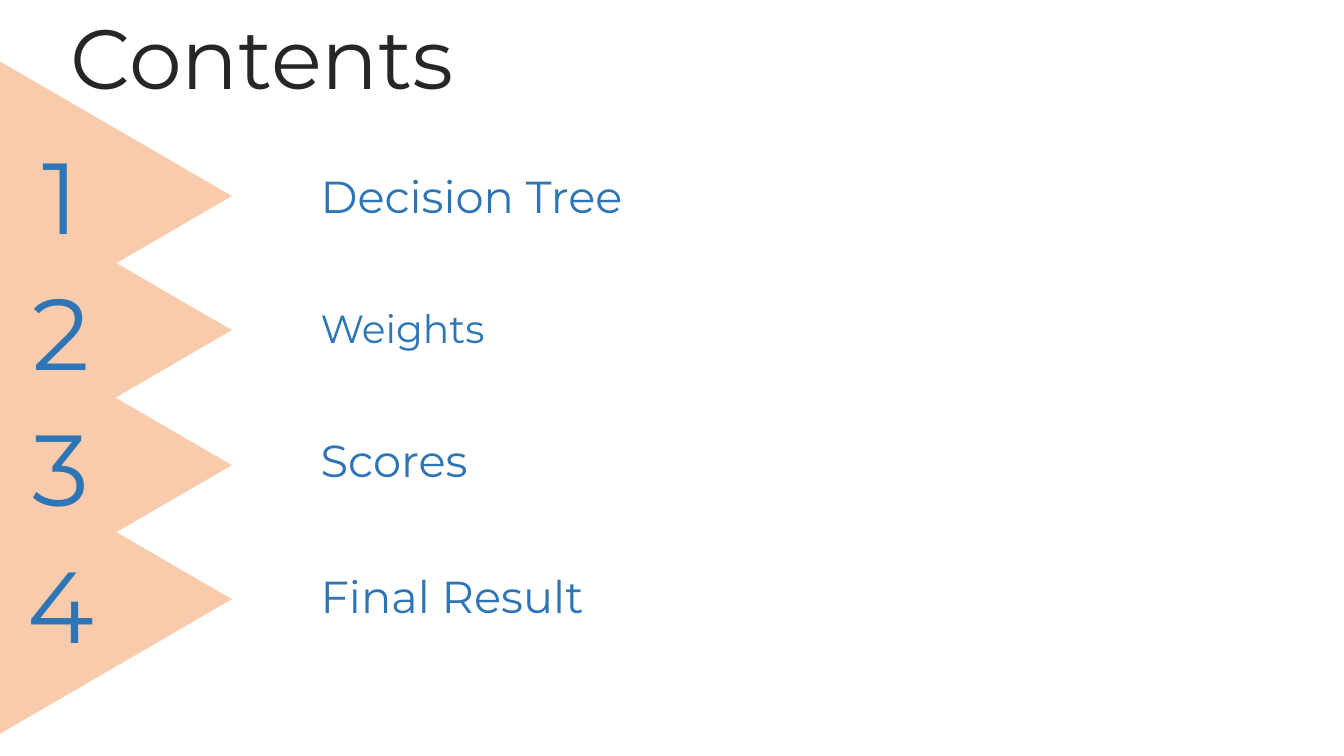
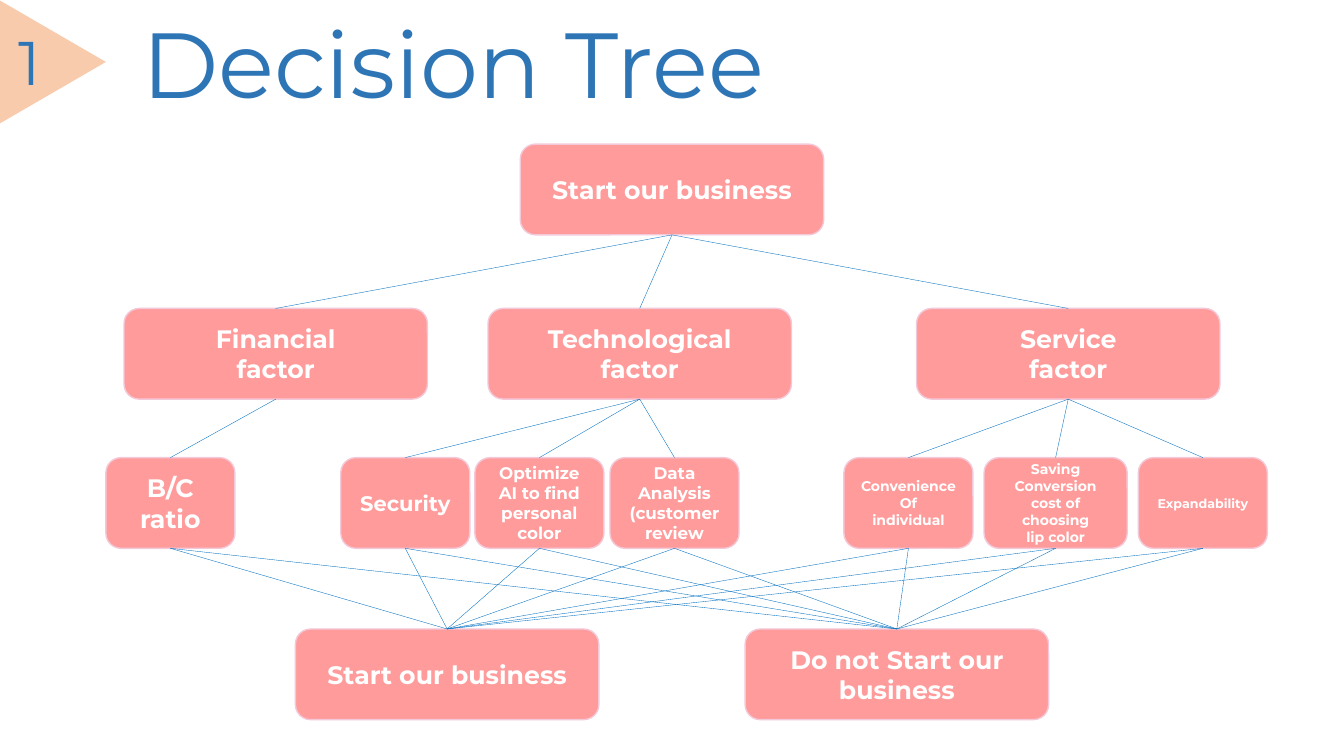
from dataclasses import dataclass
from itertools import product

from lxml.etree import SubElement
from pptx import Presentation
from pptx.dml.color import RGBColor
from pptx.enum.shapes import MSO_CONNECTOR, MSO_SHAPE
from pptx.enum.text import MSO_ANCHOR, MSO_AUTO_SIZE, PP_ALIGN
from pptx.oxml.ns import qn
from pptx.util import Pt

EMU_PER_PX = 9144
FONT = "Montserrat"
COLORS = {
    "marker": "F8CBAD",
    "heading": "262626",
    "accent": "2E75B6",
    "node": "FF9B9B",
    "node_line": "F3C9D9",
    "node_text": "FFFFFF",
    "link": "0070C0",
}
TITLE_AND_CONTENT, TITLE_ONLY = 1, 5
BOTTOM, TOP = 2, 0
NODE_HEIGHT, WIDE, NARROW = 90, 301, 128


@dataclass
class Box:
    """A rectangle in px."""

    left: int
    top: int
    width: int
    height: int

    def emu(self):
        """Return the four lengths in EMU."""
        return [px(value) for value in (self.left, self.top, self.width, self.height)]

    def inner(self, left, top, width, height):
        """Return a box whose place is relative to this one."""
        return Box(self.left + left, self.top + top, width, height)


@dataclass
class Node:
    """A tree node: left offset, width, text lines, text size and children."""

    left: int
    width: int
    lines: tuple
    size: int = 18
    children: tuple = ()


CONTENTS = (("Decision Tree", 32), ("Weights", 28), ("Scores", 32), ("Final Result", 32))
FACTORS = (
    Node(18, WIDE, ("Financial", "factor"), children=(
        Node(0, NARROW, ("B/C ratio",)),
    )),
    Node(379, WIDE, ("Technological", "factor"), children=(
        Node(233, NARROW, ("Security",), 15),
        Node(366, NARROW, ("Optimize", "AI to find", "personal", "color"), 12),
        Node(500, NARROW, ("Data", "Analysis", "(customer review"), 12),
    )),
    Node(804, WIDE, ("Service", "factor"), children=(
        Node(732, NARROW, ("Convenience", "Of", "individual"), 10),
        Node(871, 142, ("Saving", "Conversion", "cost of", "choosing", "lip color"), 10),
        Node(1024, NARROW, ("Expandability",), 9),
    )),
)
GOAL = Node(411, WIDE, ("Start our business",), children=FACTORS)
OUTCOMES = (
    Node(188, WIDE, ("Start our business",)),
    Node(634, WIDE, ("Do not Start our business",)),
)
GOAL_TOP, FACTOR_TOP, CRITERION_TOP, OUTCOME_TOP = 0, 163, 311, 481


def px(value):
    """Turn px into EMU."""
    return round(value * EMU_PER_PX)


def color(name):
    """Return a palette colour."""
    return RGBColor.from_string(COLORS[name])


def write(paragraph, text, size, color_name, bold=False, alignment=PP_ALIGN.LEFT):
    """Add one formatted run to a paragraph."""
    paragraph.alignment = alignment
    run = paragraph.add_run()
    run.text = text
    run.font.name = FONT
    run.font.size = Pt(size)
    run.font.bold = bold
    run.font.color.rgb = color(color_name)


def place(shape, box, anchor=MSO_ANCHOR.TOP):
    """Move a text shape to a box and return its text frame."""
    shape.left, shape.top, shape.width, shape.height = box.emu()
    frame = shape.text_frame
    frame.word_wrap = True
    frame.auto_size = MSO_AUTO_SIZE.NONE
    frame.vertical_anchor = anchor
    return frame


def add_shape(slide, kind, box, fill_name):
    """Add a flat filled shape."""
    shape = slide.shapes.add_shape(kind, *box.emu())
    shape.shadow.inherit = False
    shape.fill.solid()
    shape.fill.fore_color.rgb = color(fill_name)
    shape.line.fill.background()
    return shape


def add_title(slide, box, text, size, color_name):
    """Fill the title placeholder."""
    frame = place(slide.shapes.title, box)
    write(frame.paragraphs[0], text, size, color_name)


def add_marker(slide, box):
    """Add a triangle that points right and fills the box."""
    shift = (box.width - box.height) / 2
    upright = Box(box.left + shift, box.top - shift, box.height, box.width)
    add_shape(slide, MSO_SHAPE.ISOSCELES_TRIANGLE, upright, "marker").rotation = 90


def add_number(slide, box, number, size):
    """Add a section number centred in the box."""
    frame = place(slide.shapes.add_textbox(*box.emu()), box)
    write(frame.paragraphs[0], str(number), size, "accent", alignment=PP_ALIGN.CENTER)


def add_contents_list(slide, box):
    """Fill the body placeholder with the section names."""
    frame = place(slide.placeholders[1], box)
    for index, (text, size) in enumerate(CONTENTS):
        paragraph = frame.add_paragraph() if index else frame.paragraphs[0]
        paragraph.space_before = Pt(0)
        paragraph.space_after = Pt(58.5)
        write(paragraph, text, size, "accent")
        properties = paragraph._p.get_or_add_pPr()
        properties.set("marL", "0")
        properties.set("indent", "0")
        SubElement(properties, qn("a:buNone"))


def add_node(slide, tree, node, top):
    """Add one node of the tree."""
    box = tree.inner(node.left, top, node.width, NODE_HEIGHT)
    shape = add_shape(slide, MSO_SHAPE.ROUNDED_RECTANGLE, box, "node")
    shape.line.color.rgb = color("node_line")
    shape.line.width = Pt(1)
    frame = place(shape, box, MSO_ANCHOR.MIDDLE)
    for index, line in enumerate(node.lines):
        paragraph = frame.add_paragraph() if index else frame.paragraphs[0]
        write(paragraph, line, node.size, "node_text", True, PP_ALIGN.CENTER)
    return shape


def add_link(slide, upper, lower):
    """Join the bottom of one node to the top of another."""
    link = slide.shapes.add_connector(MSO_CONNECTOR.STRAIGHT, 0, 0, 0, 0)
    link.begin_connect(upper, BOTTOM)
    link.end_connect(lower, TOP)
    link.line.color.rgb = color("link")
    link.line.width = Pt(0.25)
    SubElement(link._element.spPr, qn("a:effectLst"))


def add_tree(slide, box):
    """Add the goal, factors, criteria and outcomes with their links."""
    goal = add_node(slide, box, GOAL, GOAL_TOP)
    links, criteria = [], []
    for factor in GOAL.children:
        factor_shape = add_node(slide, box, factor, FACTOR_TOP)
        links.append((goal, factor_shape))
        for criterion in factor.children:
            criteria.append(add_node(slide, box, criterion, CRITERION_TOP))
            links.append((factor_shape, criteria[-1]))
    outcomes = [add_node(slide, box, outcome, OUTCOME_TOP) for outcome in OUTCOMES]
    for upper, lower in links + list(product(criteria, outcomes)):
        add_link(slide, upper, lower)


def build_contents_slide(presentation):
    """Build the list of sections with numbered markers."""
    slide = presentation.slides.add_slide(presentation.slide_layouts[TITLE_AND_CONTENT])
    add_title(slide, Box(60, 0, 600, 111), "Contents", 60, "heading")
    add_contents_list(slide, Box(308, 162, 1015, 500))
    for index in range(len(CONTENTS)):
        add_marker(slide, Box(0, 61 + round(index * 133.33), 230, 267))
    for index in range(len(CONTENTS)):
        add_number(slide, Box(10, 128 + index * 135, 101, 131), index + 1, 72)


def build_tree_slide(presentation):
    """Build the decision tree slide."""
    slide = presentation.slides.add_slide(presentation.slide_layouts[TITLE_ONLY])
    add_marker(slide, Box(-1, 0, 106, 123))
    add_title(slide, Box(131, 1, 900, 121), "Decision Tree", 66, "accent")
    add_number(slide, Box(7, 19, 45, 84), 1, 44)
    add_tree(slide, Box(105, 143, 1152, 571))


def main():
    """Build and save the presentation."""
    presentation = Presentation()
    presentation.slide_width, presentation.slide_height = px(1333), px(750)
    build_contents_slide(presentation)
    build_tree_slide(presentation)
    presentation.save("out.pptx")


if __name__ == "__main__":
    main()
